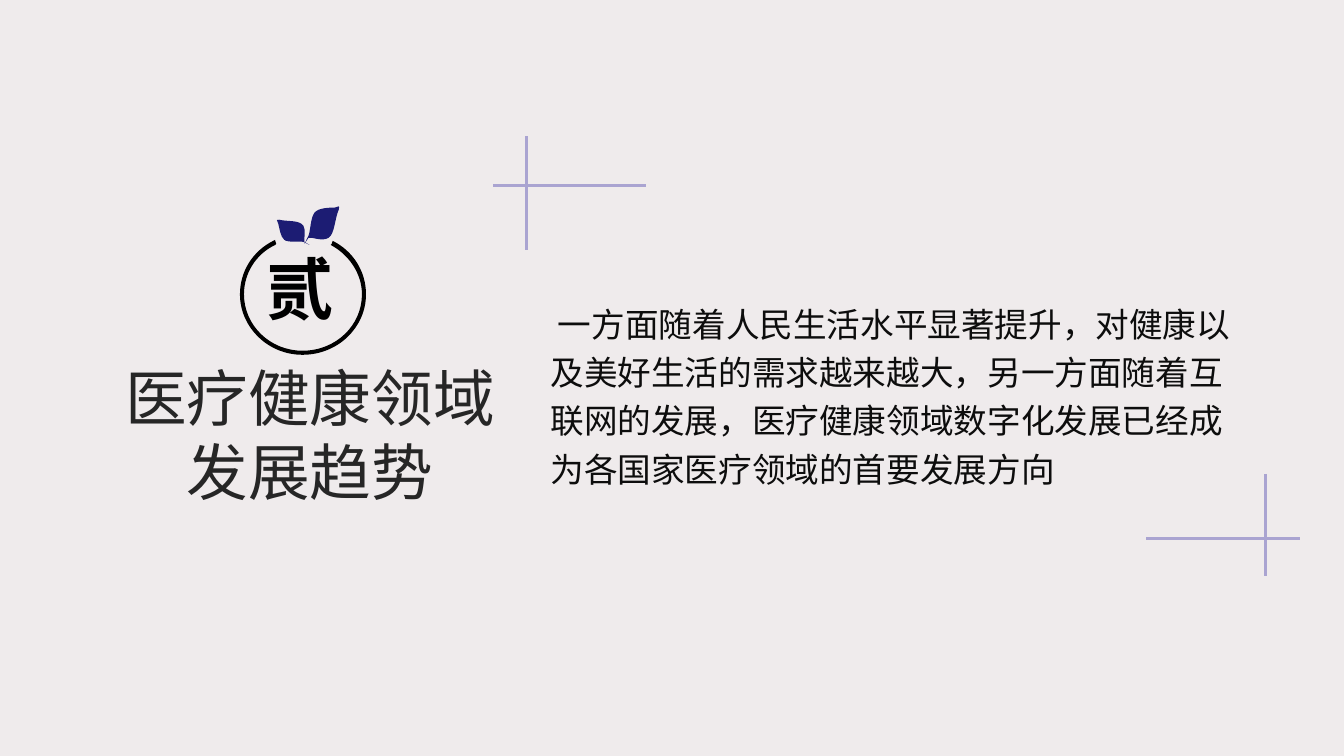
from lxml import etree
from pptx import Presentation
from pptx import util as u
from pptx.dml import color
from pptx.enum import shapes, text
from pptx.oxml import ns

BACKGROUND = color.RGBColor(0xEF, 0xEB, 0xEC)
LAVENDER = color.RGBColor(0xAA, 0xA4, 0xD1)
NAVY = color.RGBColor(0x1C, 0x1C, 0x73)
BLACK = color.RGBColor(0, 0, 0)
TITLE_GREY = color.RGBColor(0x26, 0x26, 0x26)
BODY_GREY = color.RGBColor(0x0D, 0x0D, 0x0D)
FONT = "Noto Sans CJK SC"


def write(box, lines, *, at, size, ink, bold=False, align=text.PP_ALIGN.LEFT, spacing=1.0):
    box.left, box.top, box.width, box.height = map(u.Inches, at)
    frame = box.text_frame
    frame.word_wrap = True
    frame.auto_size = text.MSO_AUTO_SIZE.NONE
    frame.vertical_anchor = text.MSO_ANCHOR.TOP
    frame.text = "\n".join(lines)
    for para in frame.paragraphs:
        para.alignment = align
        para.line_spacing = spacing
        para.space_before = u.Pt(0)
        properties = para._p.get_or_add_pPr()
        properties.set("marL", "0")
        properties.set("indent", "0")
        etree.SubElement(properties, ns.qn("a:buNone"))
        for span in para.runs:
            span.font.name = FONT
            span.font.size = u.Pt(size)
            span.font.bold = bold
            span.font.color.rgb = ink
            etree.SubElement(span.font._element, ns.qn("a:ea"), typeface=FONT)


def draw_outline(page, segments, *, fill):
    """Pairs are corners; groups of six are Bézier curves."""
    corners = [tuple(map(u.Inches, segment[-2:])) for segment in segments]
    builder = page.shapes.build_freeform(*corners[0])
    builder.add_line_segments(corners[1:], close=True)
    outline = builder.convert_to_shape()
    steps = list(outline._element.iter(ns.qn("a:lnTo")))
    for step, segment in zip(steps, segments[1:]):
        if len(segment) == 6:
            curve = etree.Element(ns.qn("a:cubicBezTo"))
            for x, y in zip(segment[::2], segment[1::2]):
                etree.SubElement(curve, ns.qn("a:pt"), x=str(u.Inches(x) - outline.left),
                                 y=str(u.Inches(y) - outline.top))
            step.getparent().replace(step, curve)
    outline.shadow.inherit = False
    outline.fill.solid()
    outline.fill.fore_color.rgb = fill
    outline.line.fill.background()


deck = Presentation()
deck.slide_width = u.Inches(13.33)
deck.slide_height = u.Inches(7.5)
page = deck.slides.add_slide(deck.slide_layouts[1])
page.background.fill.solid()
page.background.fill.fore_color.rgb = BACKGROUND

write(page.shapes.title, ["医疗健康领域", "发展趋势"], at=(0.28, 3.52, 5.59, 1.57),
      size=44, ink=TITLE_GREY, align=text.PP_ALIGN.CENTER)

cross_lines = [
    (4.89, 1.84, 6.41, 1.84),
    (5.22, 1.35, 5.22, 2.48),
    (11.37, 5.34, 12.89, 5.34),
    (12.55, 4.7, 12.55, 5.71),
]
for ends in cross_lines:
    line = page.shapes.add_connector(shapes.MSO_CONNECTOR.STRAIGHT, *map(u.Inches, ends))
    line.line.color.rgb = LAVENDER
    line.line.width = u.Pt(2.25)
    etree.SubElement(line._element.spPr, ns.qn("a:effectLst"))

left_leaf = [
    (3.07, 2.43), (3.01, 2.4),
    (2.97, 2.39, 2.86, 2.41, 2.82, 2.38),
    (2.78, 2.35, 2.77, 2.25, 2.76, 2.22),
    (2.75, 2.18, 2.73, 2.18, 2.77, 2.18),
    (2.85, 2.2, 2.97, 2.18, 3.01, 2.24),
    (3.04, 2.29, 3.01, 2.37, 3.02, 2.4),
]
right_leaf = [
    (3.02, 2.42), (3.06, 2.34),
    (3.08, 2.29, 3.08, 2.16, 3.12, 2.11),
    (3.16, 2.06, 3.28, 2.06, 3.32, 2.06),
    (3.36, 2.05, 3.37, 2.03, 3.36, 2.08),
    (3.32, 2.17, 3.32, 2.32, 3.26, 2.36),
    (3.19, 2.4, 3.1, 2.35, 3.06, 2.36),
]
open_ring = [
    (2.73, 2.38), (2.71, 2.39),
    (2.51, 2.49, 2.38, 2.69, 2.38, 2.92),
    (2.38, 3.25, 2.66, 3.52, 3, 3.52),
    (3.35, 3.52, 3.63, 3.25, 3.63, 2.92),
    (3.63, 2.69, 3.5, 2.49, 3.3, 2.39),
    (3.29, 2.42), (3.28, 2.43), (3.33, 2.46),
    (3.48, 2.56, 3.59, 2.73, 3.59, 2.92),
    (3.59, 3.23, 3.33, 3.48, 3, 3.48),
    (2.68, 3.48, 2.42, 3.23, 2.42, 2.92),
    (2.42, 2.71, 2.54, 2.52, 2.73, 2.43),
    (2.74, 2.42),
    (2.73, 2.41, 2.73, 2.4, 2.73, 2.39),
]
for segments, fill in [(left_leaf, NAVY), (right_leaf, NAVY), (open_ring, BLACK)]:
    draw_outline(page, segments, fill=fill)

numeral = page.shapes.add_textbox(0, 0, 0, 0)
write(numeral, ["贰"], at=(2.55, 2.4, 1, 0.9), size=48, ink=BLACK, bold=True)

trend = " 一方面随着人民生活水平显著提升，对健康以及美好生活的需求越来越大，另一方面随着互联网的发展，医疗健康领域数字化发展已经成为各国家医疗领域的首要发展方向"
write(page.placeholders[1], [trend], at=(5.36, 2.88, 7.18, 2.02),
      size=24, ink=BODY_GREY, spacing=1.2)

deck.save("out.pptx")
